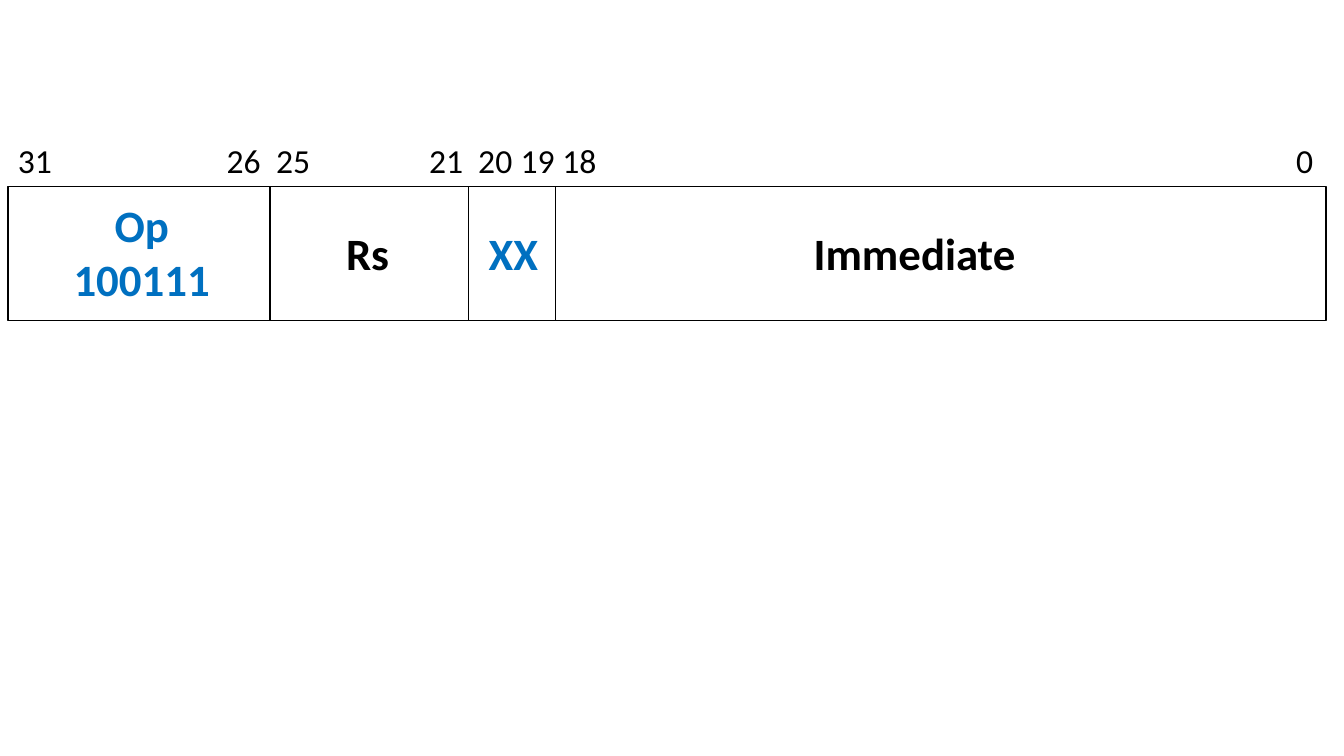
from itertools import pairwise

from lxml.etree import SubElement
from pptx import Presentation
from pptx.dml.color import RGBColor
from pptx.enum.shapes import MSO_SHAPE
from pptx.enum.text import MSO_AUTO_SIZE, PP_ALIGN
from pptx.oxml.ns import qn
from pptx.util import Inches, Pt

BLACK = RGBColor(0x00, 0x00, 0x00)
BLUE = RGBColor(0x00, 0x70, 0xC0)


class Sheet:
    font = "Calibri"
    inset = Inches(0.1)

    def __init__(self, prs):
        self.s = prs.slides.add_slide(prs.slide_layouts[6])
        self.w, self.h = prs.slide_width, prs.slide_height

    def x(self, percent):
        return round(self.w * percent / 100)

    def y(self, percent):
        return round(self.h * percent / 100)

    def area(self, left, top, width, height):
        return self.x(left), self.y(top), self.x(width), self.y(height)

    def box(self, left, top, width, height):
        sp = self.s.shapes.add_shape(
            MSO_SHAPE.RECTANGLE, *self.area(left, top, width, height))
        sp.shadow.inherit = False
        sp.fill.background()
        sp.line.color.rgb = BLACK
        sp.line.width = Pt(1)

    def text(self, text, left, top, width, height, size, color=BLACK,
             bold=False, align=PP_ALIGN.LEFT, wrap=False):
        sp = self.s.shapes.add_textbox(*self.area(left, top, width, height))
        tf = sp.text_frame
        tf.word_wrap = wrap
        tf.auto_size = MSO_AUTO_SIZE.SHAPE_TO_FIT_TEXT
        tf.text = text
        for p in tf.paragraphs:
            p.alignment = align
            for r in p.runs:
                r.font.name = self.font
                r.font.size = Pt(size)
                r.font.bold = bold
                r.font.color.rgb = color
        return sp

    def label(self, text, center, middle, width, height, color):
        self.text(text, center - width / 2, middle - height / 2, width, height,
                  32, color, True, PP_ALIGN.CENTER)

    def ruler(self, marks, left, top, width, height):
        sp = self.text("\t".join(marks), left, top, width, height, 24, wrap=True)
        p = sp.text_frame.paragraphs[0]
        tabs = SubElement(p._p.get_or_add_pPr(), qn("a:tabLst"))
        for stop in list(marks.values())[1:]:
            pos = self.x(stop) - sp.left - self.inset
            SubElement(tabs, qn("a:tab"), pos=str(pos), algn="l")


prs = Presentation()
prs.slide_width, prs.slide_height = Inches(13.33), Inches(7.5)
sheet = Sheet(prs)

EDGES = [0.6, 20.1, 34.88, 41.33, 98.65]
TOP, HEIGHT, MIDDLE = 24.67, 17.73, 33.4
LINE = 8.5
FIELDS = [
    ("Op\n100111", 10.55, 11.8, 15.7, BLUE),
    ("Rs", 27.35, 4.7, LINE, BLACK),
    ("XX", 38.2, 5.25, LINE, BLUE),
    ("Immediate", 68.05, 16.65, LINE, BLACK),
]
BITS = {"31": 1.35, "26": 16.88, "25": 20.55, "21": 31.95, "20": 35.6,
        "19": 38.75, "18": 41.85, "0": 96.45}

for left, right in pairwise(EDGES):
    sheet.box(left, TOP, right - left, HEIGHT)
for name, center, width, height, color in FIELDS:
    sheet.label(name, center, MIDDLE, width, height, color)
sheet.ruler(BITS, EDGES[0], 17.87, EDGES[-1] - EDGES[0], 6.67)

prs.save("out.pptx")
